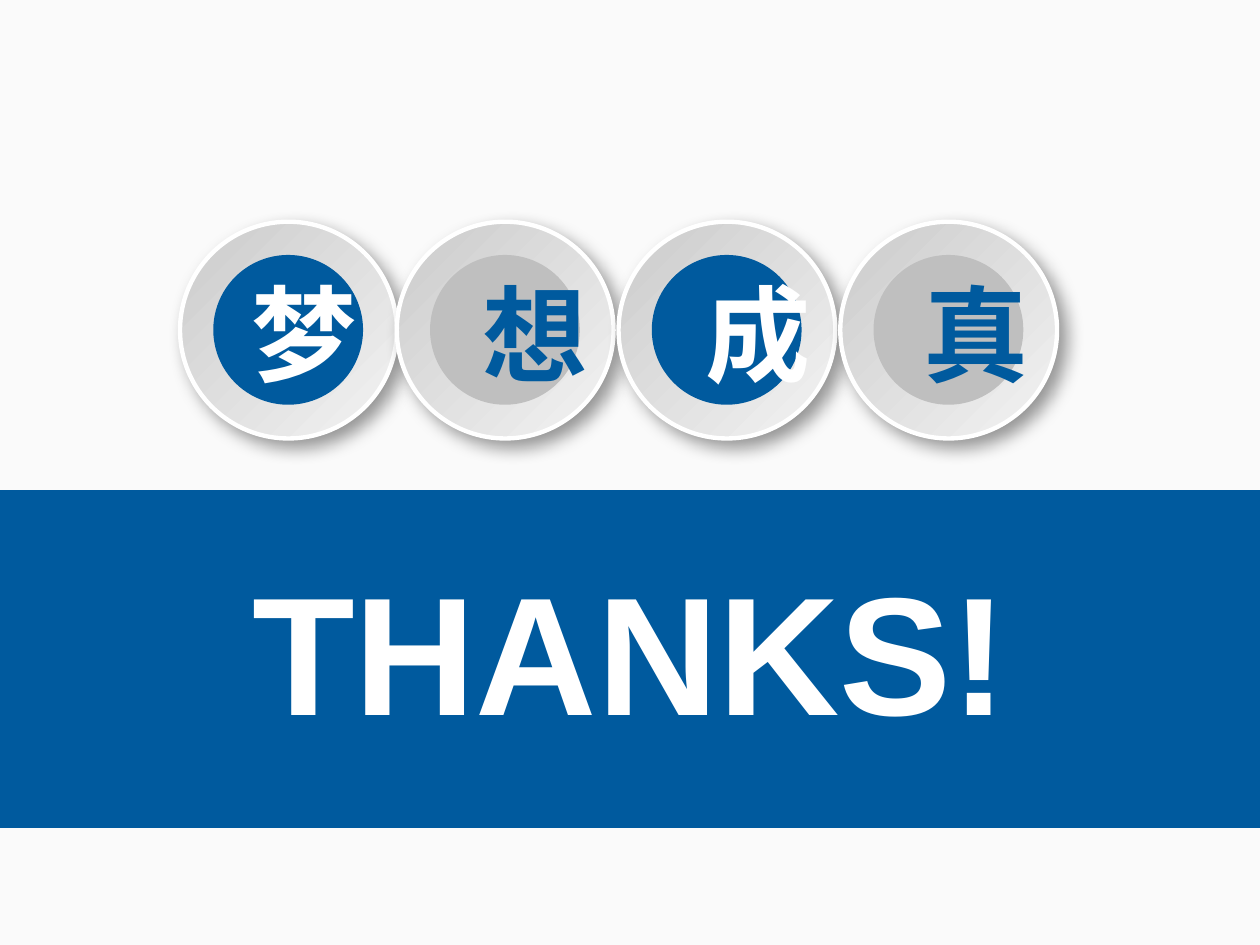
"""Build a closing slide with four character badges above a thanks band."""
from lxml import etree
from pptx import Presentation
from pptx.dml.color import RGBColor
from pptx.enum import shapes, text
from pptx.oxml import parse_xml
from pptx.util import Cm, Pt

BLUE, GREY, WHITE = "005A9E", "BFBFBF", "FFFFFF"
NS = "http://schemas.openxmlformats.org/drawingml/2006/main"
SHADOW = (
    f'<a:effectLst xmlns:a="{NS}"><a:outerShdw blurRad="{Pt(10)}" dist="{Pt(6)}" '
    'dir="2700000" algn="tl" rotWithShape="0"><a:srgbClr val="000000">'
    '<a:alpha val="40000"/></a:srgbClr></a:outerShdw></a:effectLst>'
)


def add_shape(parent, kind, x, y, w, h, color):
    sp = parent.add_shape(kind, Cm(x), Cm(y), Cm(w), Cm(h))
    sp.shadow.inherit = False
    sp.fill.solid()
    sp.fill.fore_color.rgb = RGBColor.from_string(color)
    sp.line.fill.background()
    return sp


def add_text(parent, x, y, w, h, words, size, color):
    tf = parent.add_textbox(Cm(x), Cm(y), Cm(w), Cm(h)).text_frame
    tf.word_wrap = True
    tf.auto_size = text.MSO_AUTO_SIZE.SHAPE_TO_FIT_TEXT
    p = tf.paragraphs[0]
    p.text = words
    p.alignment = text.PP_ALIGN.CENTER
    p.font.name, p.font.size, p.font.bold = "Arial", Pt(size), True
    p.font.color.rgb = RGBColor.from_string(color)


prs = Presentation()
prs.slide_width, prs.slide_height = Cm(25.4), Cm(19.05)
s = prs.slides.add_slide(prs.slide_layouts[6])

bg = s.background.fill
bg.gradient()
bg.gradient_angle = 270
for stop, color in zip(bg.gradient_stops, ("FAFAFA", "FCFCFC")):
    stop.color.rgb = RGBColor.from_string(color)

add_shape(s.shapes, shapes.MSO_SHAPE.RECTANGLE, 0, 9.88, 25.4, 6.81, BLUE)
add_text(s.shapes, 0, 10.92, 25.4, 4.37, "THANKS!", 96, WHITE)

badges = [
    ("梦", 3.63, 4.83, 2.03, BLUE, WHITE),
    ("想", 8.0, 9.47, 1.45, GREY, BLUE),
    ("成", 12.47, 13.97, 1.45, BLUE, WHITE),
    ("真", 16.94, 18.36, 1.45, GREY, BLUE),
]
for char, x, text_x, text_w, disc_color, char_color in badges:
    group = s.shapes.add_group_shape().shapes
    ring = add_shape(group, shapes.MSO_SHAPE.OVAL, x, 4.47, 4.37, 4.37, WHITE)
    ring.fill.gradient()
    ring.fill.gradient_angle = 315
    for stop, color in zip(ring.fill.gradient_stops, ("CBCBCB", "F3F3F3")):
        stop.color.rgb = RGBColor.from_string(color)
    ring.line.color.rgb = RGBColor.from_string(WHITE)
    ring.line.width = Pt(2.5)
    effects = ring.element.spPr.find(etree.QName(NS, "effectLst").text)
    effects.getparent().replace(effects, parse_xml(SHADOW))
    add_shape(group, shapes.MSO_SHAPE.OVAL, x + 0.67, 5.14, 3.02, 3.02, disc_color)
    add_text(group, text_x, 5.31, text_w, 2.82, char, 60, char_color)

prs.save("out.pptx")
